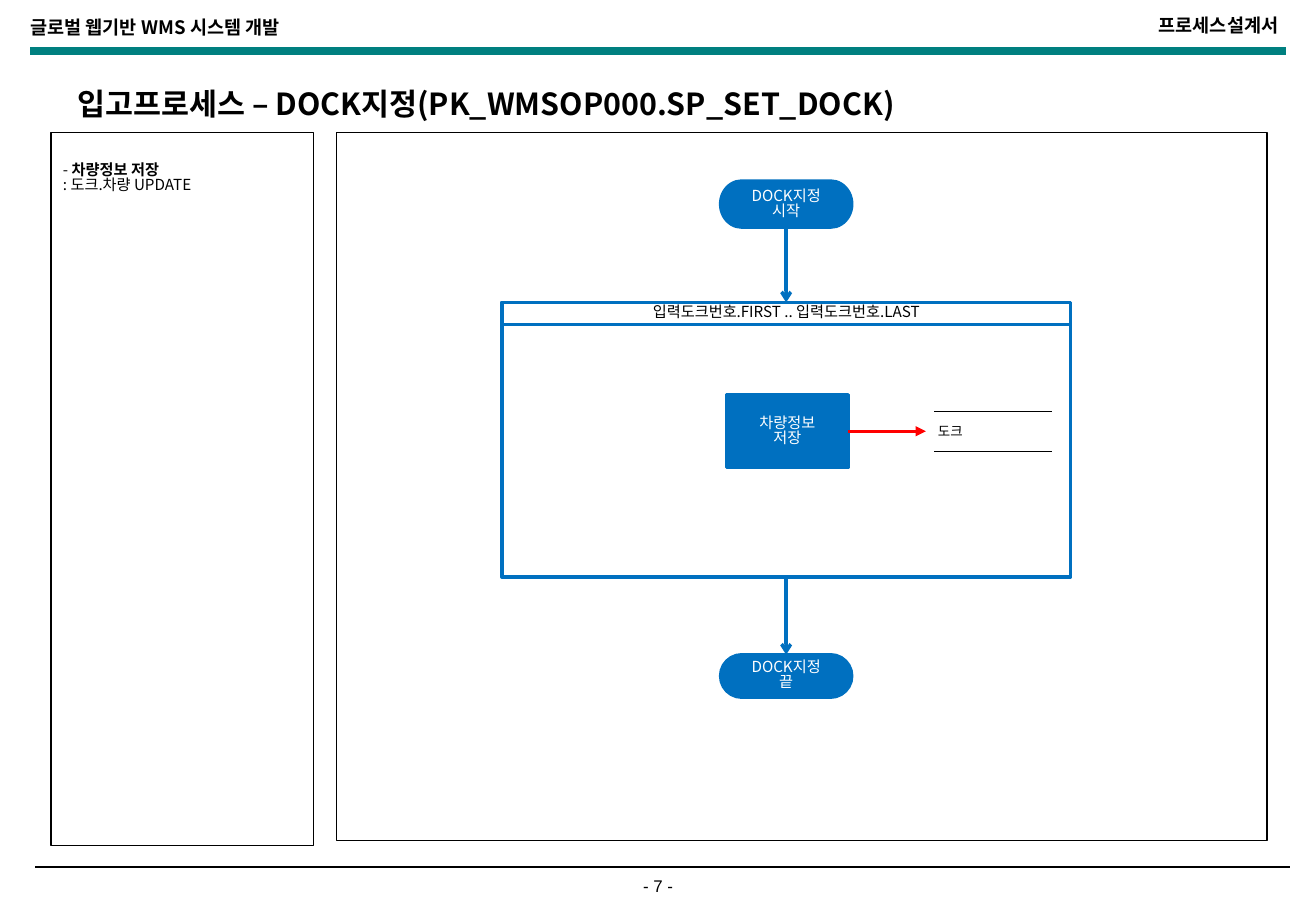
from dataclasses import dataclass

from lxml.etree import SubElement
from pptx import Presentation
from pptx.dml.color import RGBColor as Color
from pptx.enum.shapes import MSO_CONNECTOR as Connector, MSO_SHAPE as Shape
from pptx.enum.text import MSO_ANCHOR as Anchor, PP_ALIGN as Align
from pptx.oxml.ns import qn
from pptx.util import Inches, Pt


@dataclass(frozen=True)
class Theme:
    black: str = "000000"
    white: str = "FFFFFF"
    blue: str = "0070C0"
    teal: str = "008080"
    red: str = "FF0000"
    korean: str = "Noto Sans CJK KR"
    latin: str = "Arial"
    title: float = 18
    header: float = 11
    page_number: float = 10
    body: float = 9
    small: float = 8
    tight: float = 0.82


THEME = Theme()


@dataclass(frozen=True)
class Span:
    text: str
    bold: bool = False


@dataclass(frozen=True)
class Label:
    paras: tuple[tuple[Span, ...], ...]
    size: float = THEME.body
    color: str = THEME.black
    font: str = THEME.korean
    align: Align = Align.LEFT
    anchor: Anchor = Anchor.TOP
    spacing: float | None = None


@dataclass(frozen=True)
class TextBox:
    place: tuple[float, float, float, float]
    label: Label


@dataclass(frozen=True)
class Block:
    place: tuple[float, float, float, float]
    kind: Shape = Shape.RECTANGLE
    fill: str | None = None
    line: str = THEME.black
    width: float = 1
    label: Label | None = None


@dataclass(frozen=True)
class Line:
    start: tuple[float, float]
    end: tuple[float, float]
    color: str = THEME.black
    width: float = 0.75
    head: str | None = None


def plain(*lines: str, bold: bool = False, **style) -> Label:
    """Make a label whose paragraphs each hold one span."""
    return Label(tuple((Span(line, bold),) for line in lines), **style)


def node_label(*lines: str, color: str = THEME.white) -> Label:
    """Make a centred label for a flow chart node."""
    return plain(*lines, color=color, align=Align.CENTER, anchor=Anchor.MIDDLE, spacing=THEME.tight)


def apply(target, values: dict) -> None:
    """Set every attribute named in the format values."""
    for name, value in values.items():
        setattr(target, name, value)


def write(frame, label: Label, margins: tuple[float, float], wrap: bool) -> None:
    """Write a label into a text frame."""
    side, edge = (Inches(margin) for margin in margins)
    apply(frame, {"word_wrap": wrap, "vertical_anchor": label.anchor, "margin_left": side,
                  "margin_right": side, "margin_top": edge, "margin_bottom": edge})
    for index, spans in enumerate(label.paras):
        para = frame.add_paragraph() if index else frame.paragraphs[0]
        apply(para, {"alignment": label.align, "line_spacing": label.spacing})
        for span in spans:
            run = para.add_run()
            run.text = span.text
            apply(run.font, {"size": Pt(label.size), "bold": span.bold, "name": label.font})
            run.font.color.rgb = Color.from_string(label.color)
            SubElement(run.font._element, qn("a:ea"), typeface=label.font)


def draw_text(page, item: TextBox) -> None:
    """Draw a text box."""
    box = page.shapes.add_textbox(*map(Inches, item.place))
    write(box.text_frame, item.label, (0.1, 0.05), True)


def draw_block(page, item: Block) -> None:
    """Draw a filled or outlined preset shape."""
    box = page.shapes.add_shape(item.kind, *map(Inches, item.place))
    box.shadow.inherit = False
    if item.fill:
        box.fill.solid()
        box.fill.fore_color.rgb = Color.from_string(item.fill)
    else:
        box.fill.background()
    box.line.color.rgb = Color.from_string(item.line)
    box.line.width = Pt(item.width)
    if item.label:
        write(box.text_frame, item.label, (0, 0), False)


def draw_line(page, item: Line) -> None:
    """Draw a straight line with an optional arrowhead."""
    line = page.shapes.add_connector(Connector.STRAIGHT, *map(Inches, item.start + item.end))
    line.line.color.rgb = Color.from_string(item.color)
    line.line.width = Pt(item.width)
    if item.head:
        SubElement(line.line._get_or_add_ln(), qn("a:tailEnd"), type=item.head)
    SubElement(line._element.spPr, qn("a:effectLst"))


def terminator(top: float, height: float, caption: str) -> Block:
    """Describe a start or end node."""
    return Block((5.93, top, 1.08, height), Shape.FLOWCHART_TERMINATOR, THEME.blue, THEME.blue, 2,
                 node_label("DOCK지정", caption))


def process(place: tuple[float, float, float, float], fill: str | None = None,
            label: Label | None = None) -> Block:
    """Describe a process rectangle."""
    return Block(place, Shape.FLOWCHART_PROCESS, fill, THEME.blue, 2, label)


def flow(top: float, bottom: float) -> Line:
    """Describe a downward flow arrow."""
    return Line((6.47, top), (6.47, bottom), THEME.blue, 2, "arrow")


NOTES = Label(((Span("- "), Span("차량정보 저장", True)), (Span(": 도크.차량 UPDATE"),)),
              spacing=THEME.tight)
ITEMS = (
    TextBox((0.15, 0.08, 5.26, 0.37),
            plain("글로벌 웹기반 WMS 시스템 개발", bold=True, size=THEME.header)),
    TextBox((7.09, 0.07, 3.53, 0.37),
            plain("프로세스설계서", bold=True, size=THEME.header, align=Align.RIGHT)),
    Line((0.25, 0.42), (10.58, 0.42), THEME.teal, 4.5),
    Line((0.29, 7.14), (10.62, 7.14), width=1),
    TextBox((4.95, 7.16, 0.93, 0.27),
            plain("- 7 -", size=THEME.page_number, font=THEME.latin, align=Align.CENTER)),
    Block((2.77, 1.09, 7.66, 5.83)),
    Block((0.42, 1.09, 2.16, 5.87), fill=THEME.white, width=0.75),
    TextBox((0.54, 0.4, 9.75, 0.54),
            plain("입고프로세스 – DOCK지정(PK_WMSOP000.SP_SET_DOCK)", bold=True,
                  size=THEME.title, anchor=Anchor.MIDDLE, spacing=2.2)),
    TextBox((0.42, 1.3, 2.07, 1.88), NOTES),
    terminator(1.49, 0.38, "시작"),
    flow(1.87, 2.49),
    flow(4.75, 5.39),
    terminator(5.39, 0.35, "끝"),
    process((4.13, 2.49, 4.68, 2.26)),
    process((4.13, 2.49, 4.68, 0.18),
            label=node_label("입력도크번호.FIRST .. 입력도크번호.LAST", color=THEME.black)),
    process((5.98, 3.25, 1, 0.6), THEME.blue, node_label("차량정보", "저장")),
    Line((6.98, 3.55), (7.62, 3.55), THEME.red, 2, "triangle"),
    TextBox((7.62, 3.43, 1.05, 0.24), plain("도크", size=THEME.small)),
    *(Line((7.69, height), (8.66, height)) for height in (3.39, 3.72)),
)
DRAW = {TextBox: draw_text, Block: draw_block, Line: draw_line}


def main() -> None:
    """Build the slide and save the deck."""
    deck = Presentation()
    apply(deck, {"slide_width": Inches(10.83), "slide_height": Inches(7.5)})
    page = deck.slides.add_slide(deck.slide_layouts[6])
    for item in ITEMS:
        DRAW[type(item)](page, item)
    deck.save("out.pptx")


if __name__ == "__main__":
    main()
